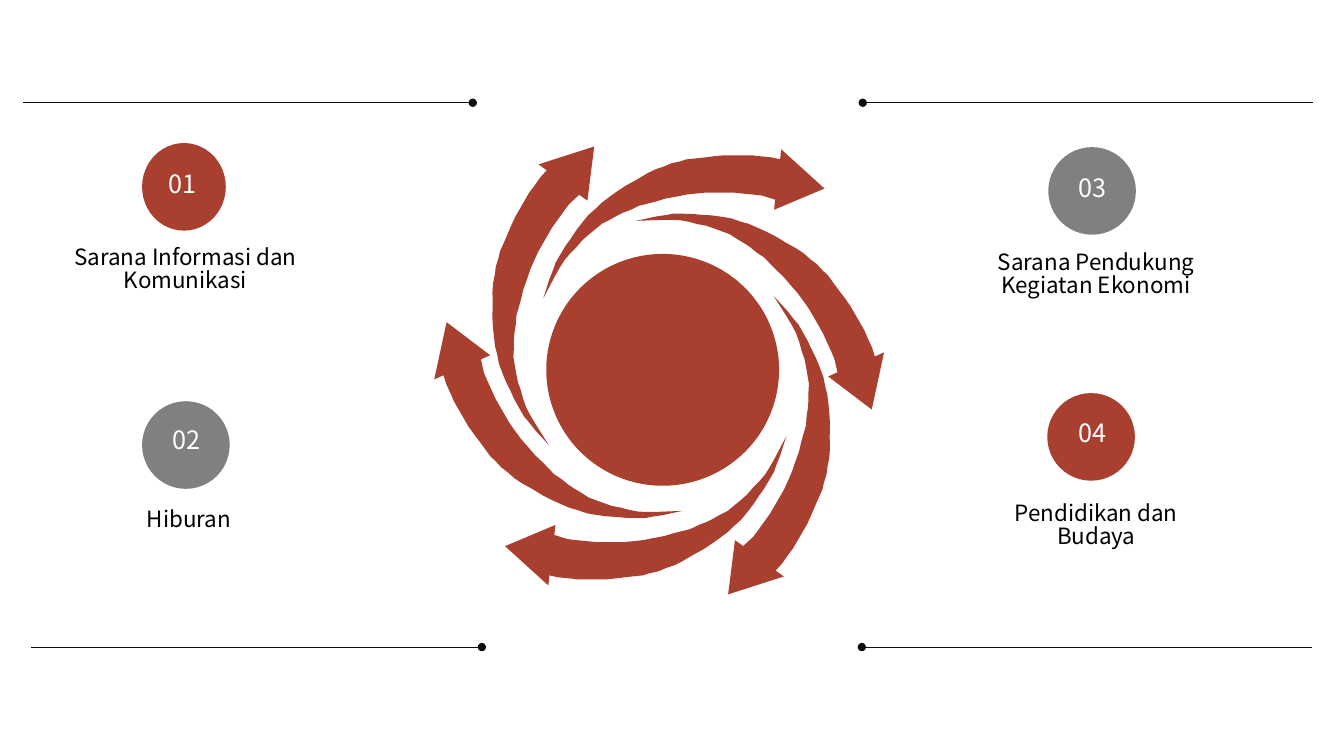
import math

import pptx
import pptx.dml.color
import pptx.enum.shapes
import pptx.enum.text
import pptx.oxml
import pptx.oxml.ns
import pptx.util

Pt = pptx.util.Pt
RGBColor = pptx.dml.color.RGBColor
MSO_SHAPE = pptx.enum.shapes.MSO_SHAPE
MSO_CONNECTOR = pptx.enum.shapes.MSO_CONNECTOR
PP_ALIGN = pptx.enum.text.PP_ALIGN

RED = RGBColor(0xA8, 0x3F, 0x2F)
GRAY = RGBColor(0x80, 0x80, 0x80)
INK = RGBColor(0x0D, 0x0D, 0x0D)
BLACK = RGBColor(0, 0, 0)
WHITE = RGBColor(0xFF, 0xFF, 0xFF)

OUTLINE_UNIT = 0.72
OUTLINE_TILT = 343.6
ARROW_OUTLINE = [
    (550, 531), (551, 521), (501, 542), (544, 581), (545, 571), (554, 573),
    (565, 574), (573, 575), (581, 575), (591, 575), (601, 575), (611, 574),
    (619, 573), (628, 572), (638, 571), (644, 569), (653, 567), (660, 564),
    (669, 561), (677, 557), (687, 551), (698, 545), (707, 539), (714, 534),
    (722, 528), (727, 523), (735, 516), (740, 510), (747, 501), (753, 492),
    (758, 485), (764, 475), (768, 468), (770, 462), (774, 452), (780, 433),
    (769, 454), (764, 463), (759, 471), (753, 478), (747, 484), (741, 491),
    (734, 497), (728, 502), (722, 507), (714, 511), (707, 515), (701, 518),
    (693, 521), (685, 525), (677, 527), (669, 529), (659, 532), (648, 534),
    (638, 536), (629, 537), (619, 538), (610, 538), (601, 538), (591, 538),
    (582, 537), (571, 536), (563, 535),
]
ARROW_CENTERS = [
    (468, 374), (559.8, 323.6), (555.1, 207.7),
    (481.7, 150.8), (384.8, 205.6), (386.6, 315),
]

TOPICS = [
    ("01", "Sarana Informasi dan Komunikasi", RED,
     (101.5, 102.2, 59.8, 62.6), (42.5, 173.5, 180, 46), (106.6, 120.2, 48.2, 28.8)),
    ("03", "Sarana Pendukung Kegiatan Ekonomi", GRAY,
     (748.8, 105.1, 62.6, 62.6), (674.6, 177.1, 216.7, 46), (756, 123.1, 49, 28.8)),
    ("04", "Pendidikan dan Budaya", RED,
     (748.1, 280.8, 62.6, 62.6), (693.4, 356.4, 179.3, 46), (757.4, 298.1, 46.1, 28.8)),
    ("02", "Hiburan", GRAY,
     (101.5, 286.6, 62.6, 62.6), (72.7, 360.7, 124.6, 26.6), (115.9, 303.1, 34.6, 28.8)),
]
RULES = [
    (16.6, 337.7, 73.4, "tailEnd"), (616.3, 938.2, 73.4, "headEnd"),
    (22.3, 344.2, 462.2, "tailEnd"), (615.6, 937.4, 462.2, "headEnd"),
]


def write(tf, text, size=16, color=BLACK, font="Noto Sans CJK SC", spacing=0.83):
    p = tf.paragraphs[0]
    p.alignment = PP_ALIGN.CENTER
    p.line_spacing = spacing
    r = p.add_run()
    r.text = text
    r.font.size = Pt(size)
    r.font.name = font
    r.font.color.rgb = color


class Canvas:
    """Draws styled elements on one slide, with lengths in points."""

    def __init__(self, slide):
        self.shapes = slide.shapes

    def paint(self, sp, color):
        sp.shadow.inherit = False
        sp.fill.solid()
        sp.fill.fore_color.rgb = color
        sp.line.fill.background()
        return sp

    def disc(self, box, color):
        sp = self.shapes.add_shape(MSO_SHAPE.OVAL, *map(Pt, box))
        return self.paint(sp, color)

    def text(self, box, text, **style):
        tf = self.shapes.add_textbox(*map(Pt, box)).text_frame
        tf.word_wrap = True
        write(tf, text, **style)

    def arrow(self, center, rotation, color):
        tilt = math.radians(-OUTLINE_TILT)
        cos, sin = math.cos(tilt), math.sin(tilt)
        points = [(Pt(OUTLINE_UNIT * (x * cos - y * sin)),
                   Pt(OUTLINE_UNIT * (x * sin + y * cos))) for x, y in ARROW_OUTLINE]
        fb = self.shapes.build_freeform(*points[0])
        fb.add_line_segments(points[1:], close=True)
        sp = fb.convert_to_shape()
        sp.left = Pt(center[0]) - sp.width // 2
        sp.top = Pt(center[1]) - sp.height // 2
        sp.rotation = rotation
        return self.paint(sp, color)

    def rule(self, x1, x2, y, dot_end):
        c = self.shapes.add_connector(MSO_CONNECTOR.STRAIGHT, Pt(x1), Pt(y), Pt(x2), Pt(y))
        c.line.color.rgb = INK
        c.line.width = Pt(0.5)
        dot = pptx.oxml.parse_xml(
            f'<a:{dot_end} {pptx.oxml.ns.nsdecls("a")} type="oval"/>')
        c.line._get_or_add_ln().append(dot)
        c._element.spPr.append(
            pptx.oxml.parse_xml(f'<a:effectLst {pptx.oxml.ns.nsdecls("a")}/>'))


def main():
    prs = pptx.Presentation()
    prs.slide_width, prs.slide_height = Pt(960), Pt(540)
    canvas = Canvas(prs.slides.add_slide(prs.slide_layouts[6]))

    for number, label, color, disc_box, label_box, number_box in TOPICS:
        canvas.disc(disc_box, color)
        canvas.text(label_box, label)
        canvas.text(number_box, number, size=18, color=WHITE)

    wheel = [canvas.arrow(center, (OUTLINE_TILT - 60 * i) % 360, RED)
             for i, center in enumerate(ARROW_CENTERS)]
    wheel.append(canvas.disc((390.2, 181.4, 166.3, 165.6), RED))
    canvas.shapes.add_group_shape(wheel)

    for rule in RULES:
        canvas.rule(*rule)

    prs.save("out.pptx")


if __name__ == "__main__":
    main()
